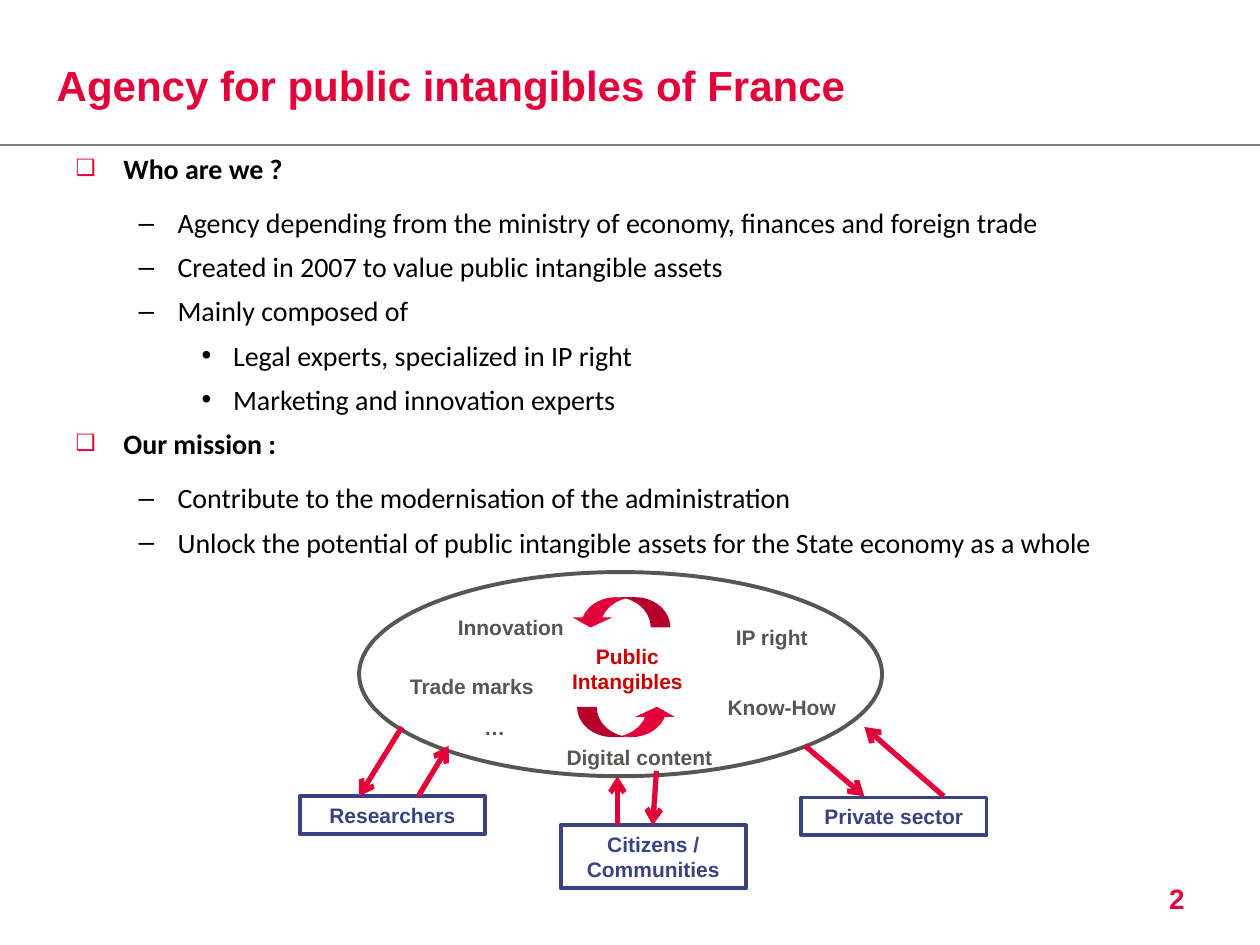
from lxml.etree import SubElement
from pptx import Presentation
from pptx.dml.color import RGBColor
from pptx.enum.shapes import MSO_CONNECTOR as CONNECTOR, MSO_SHAPE as SHAPE
from pptx.enum.text import MSO_ANCHOR as ANCHOR, MSO_AUTO_SIZE as FIT, PP_ALIGN as ALIGN
from pptx.oxml.ns import qn
from pptx.util import Inches, Pt

RED, GREY, NAVY, BLACK = "E40038", "565653", "394283", "000000"

TITLE = "Agency for public intangibles of France"
OUTLINE = [
    (0, "Who are we ?"),
    (1, "Agency depending from the ministry of economy, finances and foreign trade"),
    (1, "Created in 2007 to value public intangible assets"),
    (1, "Mainly composed of"),
    (2, "Legal experts, specialized in IP right"),
    (2, "Marketing and innovation experts"),
    (0, "Our mission :"),
    (1, "Contribute to the modernisation of the administration"),
    (1, "Unlock the potential of public intangible assets for the State economy as a whole"),
]
LEVELS = [
    dict(char="❑", color=RED, size=80, left=0.38, hang=0.38),
    dict(char="–", color=BLACK, size=100, left=0.81, hang=0.31),
    dict(char="•", color=BLACK, size=100, left=1.25, hang=0.25),
]
ASSETS = [
    ("Public Intangibles", (4.28, 5.06, 1.4, 0.5), "CC0000"),
    ("Innovation", (3.32, 4.83, 1.47, 0.3), GREY),
    ("IP right", (5.39, 4.91, 1.47, 0.3), GREY),
    ("Digital content", (4.24, 5.86, 1.67, 0.3), GREY),
    ("Know-How", (5.47, 5.46, 1.47, 0.3), GREY),
    ("Trade marks", (3.01, 5.3, 1.47, 0.3), GREY),
    ("…", (3.19, 5.62, 1.47, 0.3), GREY),
]
PARTNERS = [
    ("Private sector", (6.36, 6.33, 1.47, 0.3)),
    ("Researchers", (2.38, 6.32, 1.47, 0.3)),
    ("Citizens / Communities", (4.45, 6.55, 1.47, 0.5)),
]
CYCLE = [((4.53, 4.74, 0.79, 0.24), 180), ((4.58, 5.61, 0.79, 0.24), 0)]
EXCHANGES = [
    (3.19, 5.77, 2.85, 6.32),
    (3.32, 6.32, 3.56, 5.92),
    (4.9, 6.55, 4.9, 6.16),
    (5.21, 6.12, 5.18, 6.55),
    (6.39, 5.92, 6.86, 6.32),
    (7.49, 6.32, 6.86, 5.77),
]


def rgb(color):
    return RGBColor.from_string(color)


def box(values):
    return [Inches(value) for value in values]


def place(shape, area):
    shape.left, shape.top, shape.width, shape.height = box(area)


def write(shape, text, size=12, color=GREY, bold=True, font="Arial",
          align=ALIGN.CENTER, anchor=ANCHOR.TOP, new=False):
    frame = shape.text_frame
    frame.word_wrap = True
    frame.auto_size = FIT.NONE
    frame.vertical_anchor = anchor
    paragraph = frame.add_paragraph() if new else frame.paragraphs[0]
    paragraph.alignment = align
    run = paragraph.add_run()
    run.text = text
    run.font.size, run.font.bold, run.font.name = Pt(size), bold, font
    run.font.color.rgb = rgb(color)
    return paragraph


def add_bullet(paragraph, char, color, size, left, hang):
    props = paragraph._p.get_or_add_pPr()
    props.set("marL", str(Inches(left)))
    props.set("indent", str(-Inches(hang)))
    SubElement(SubElement(props, qn("a:buClr")), qn("a:srgbClr"), val=color)
    SubElement(props, qn("a:buSzPct"), val=str(size * 1000))
    SubElement(props, qn("a:buFont"), typeface="Arial")
    SubElement(props, qn("a:buChar"), char=char)


def add_outlined(kind, area, color):
    shape = slide.shapes.add_shape(kind, *box(area))
    shape.shadow.inherit = False
    shape.fill.background()
    shape.line.color.rgb = rgb(color)
    shape.line.width = Pt(2.25)
    return shape


def add_line(ends, color, width, arrow=False):
    line = slide.shapes.add_connector(CONNECTOR.STRAIGHT, *box(ends))
    line.line.color.rgb = rgb(color)
    line.line.width = Pt(width)
    if arrow:
        SubElement(line.line._get_or_add_ln(), qn("a:tailEnd"), type="arrow")
    SubElement(line._element.spPr, qn("a:effectLst"))


deck = Presentation()
deck.slide_width, deck.slide_height = Inches(10), Inches(7.5)
slide = deck.slides.add_slide(deck.slide_layouts[1])

title, outline = slide.placeholders
place(title, (0.35, 0.29, 7.4, 0.77))
write(title, TITLE, size=24, color=RED, align=ALIGN.LEFT, anchor=ANCHOR.MIDDLE)

place(outline, (0.5, 1.15, 9, 4.17))
for index, (level, text) in enumerate(OUTLINE):
    item = write(outline, text, size=16, color=BLACK, bold=level == 0,
                 font="Calibri", align=ALIGN.LEFT, new=index > 0)
    item.level = level
    item.space_before = Pt(6 if index else 0)
    item.space_after = Pt(0 if level else 6)
    add_bullet(item, **LEVELS[level])

page_number = slide.shapes.add_textbox(*box((7.17, 6.95, 2.33, 0.4)))
write(page_number, "2", size=16, color=RED, align=ALIGN.RIGHT)
add_line((0, 1.15, 10, 1.15), "7F7F7F", 1)

add_outlined(SHAPE.OVAL, (2.85, 4.54, 4.15, 1.62), GREY)
for text, area, color in ASSETS:
    write(slide.shapes.add_textbox(*box(area)), text, color=color)
for text, area in PARTNERS:
    write(add_outlined(SHAPE.RECTANGLE, area, NAVY), text, color=NAVY)

for area, rotation in CYCLE:
    arrow = slide.shapes.add_shape(SHAPE.CURVED_UP_ARROW, *box(area))
    arrow.shadow.inherit = False
    arrow.rotation = rotation
    arrow.fill.solid()
    arrow.fill.fore_color.rgb = rgb(RED)
    arrow.line.fill.background()
    for index, value in enumerate((0.65, 1.3, 0.33)):
        arrow.adjustments[index] = value

for ends in EXCHANGES:
    add_line(ends, RED, 3, arrow=True)

deck.save("out.pptx")
